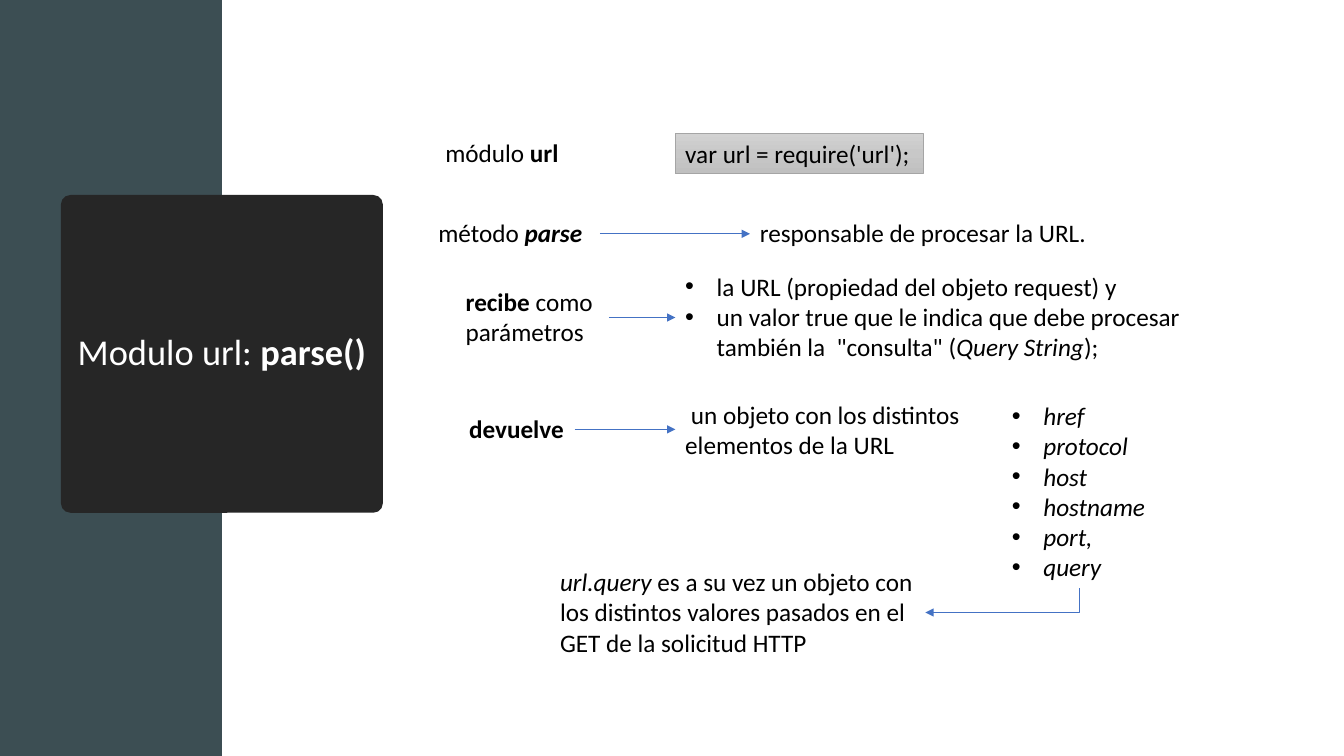
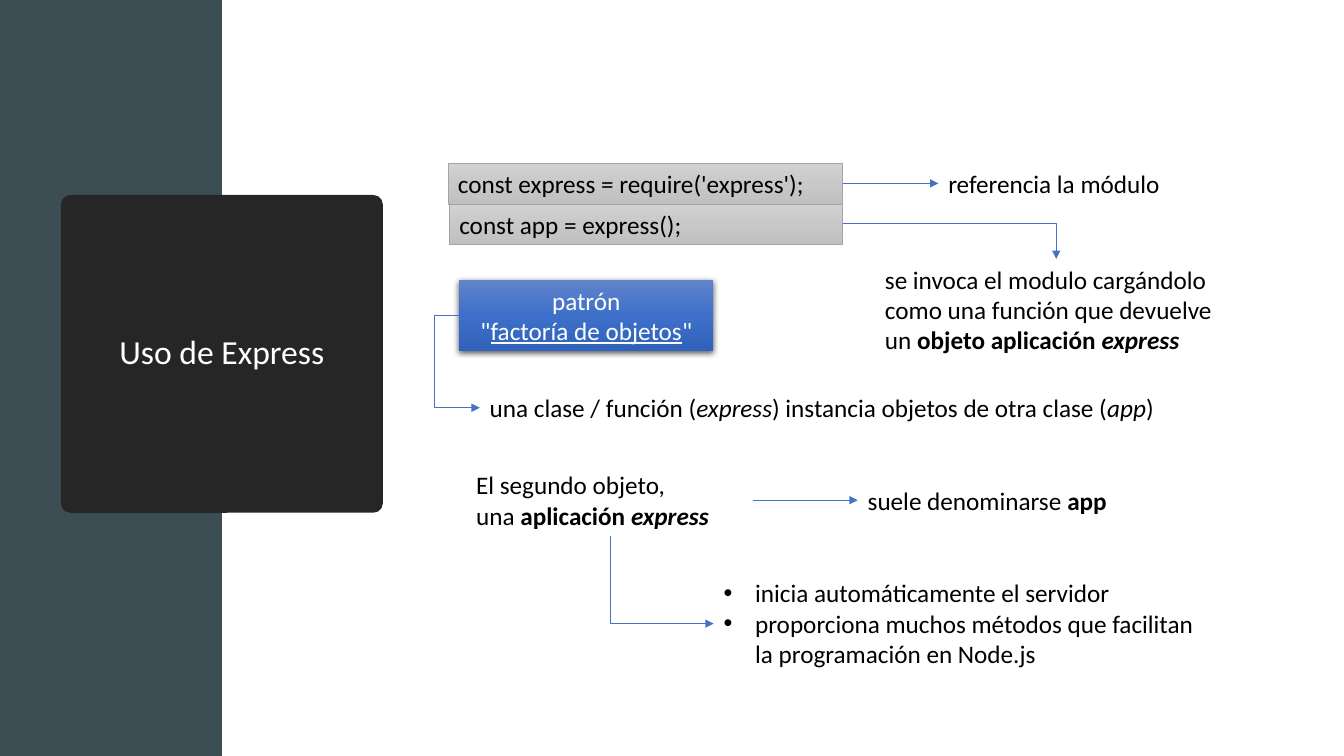
"""Builds two slides on the url module and on Express."""
from pptx import Presentation
from pptx.dml.color import RGBColor
from pptx.enum.dml import MSO_LINE
from pptx.enum.shapes import MSO_CONNECTOR, MSO_SHAPE
from pptx.enum.text import MSO_ANCHOR, PP_ALIGN
from pptx.oxml import parse_xml
from pptx.oxml.ns import nsdecls, qn
from pptx.util import Pt
from lxml import etree

RECT, ROUND = MSO_SHAPE.RECTANGLE, MSO_SHAPE.ROUNDED_RECTANGLE
LINE, ELBOW = MSO_CONNECTOR.STRAIGHT, MSO_CONNECTOR.ELBOW
SOLID = MSO_LINE.SOLID
LEFT, MID = PP_ALIGN.LEFT, PP_ALIGN.CENTER
TOP, CENTER = MSO_ANCHOR.TOP, MSO_ANCHOR.MIDDLE
FONT = "Calibri"
COLORS = {"band": "3C4E53", "card": "262626", "text": "000000",
          "white": "FFFFFF", "arrow": "4472C4", "edge": "A5A5A5"}
GRAY = ["D2D2D2", "C8C8C8", "C0C0C0"]
BLUE = ["6183CB", "3E70CA", "3062BB"]


def write(slide, box, paras, size=18, color="text", align=LEFT, anchor=TOP,
          space=1.0, bullet=False, shape=None, fill=None, grad=None,
          edge=None, shade=False):
    """Adds text; each run is a string or a (string, "biu" style) pair."""
    spots = [Pt(v) for v in box]
    if shape is None:
        item = slide.shapes.add_textbox(*spots)
    else:
        item = slide.shapes.add_shape(shape, *spots)
        item.shadow.inherit = False
        props = item._element.spPr
        if shape == ROUND:
            item.adjustments[0] = 0.03
        if fill:
            item.fill.solid()
            item.fill.fore_color.rgb = RGBColor.from_string(COLORS[fill])
        if grad:
            stops = "".join(
                f'<a:gs pos="{i * 50000}"><a:srgbClr val="{tone}"/></a:gs>'
                for i, tone in enumerate(grad))
            props.find(qn("a:prstGeom")).addnext(parse_xml(
                f'<a:gradFill {nsdecls("a")}><a:gsLst>{stops}</a:gsLst>'
                '<a:lin ang="5400000" scaled="0"/></a:gradFill>'))
        if edge:
            item.line.color.rgb = RGBColor.from_string(COLORS[edge])
            item.line.width = Pt(0.5)
        else:
            item.line.fill.background()
        if shade:
            props.find(qn("a:effectLst")).append(parse_xml(
                f'<a:outerShdw {nsdecls("a")} blurRad="{Pt(4.5)}" '
                f'dist="{Pt(1.5)}" dir="5400000" algn="ctr" rotWithShape="0">'
                '<a:srgbClr val="000000"><a:alpha val="63000"/></a:srgbClr>'
                '</a:outerShdw>'))
    frame = item.text_frame
    frame.word_wrap = True
    frame.vertical_anchor = anchor
    for i, runs in enumerate(paras):
        para = frame.add_paragraph() if i else frame.paragraphs[0]
        para.alignment = align
        para.line_spacing = space
        if bullet:
            props = para._p.get_or_add_pPr()
            props.set("marL", str(Pt(22.5)))
            props.set("indent", str(-Pt(22.5)))
            etree.SubElement(props, qn("a:buFont")).set("typeface", "Arial")
            etree.SubElement(props, qn("a:buChar")).set("char", "•")
        for part in runs:
            words, style = (part, "") if isinstance(part, str) else part
            run = para.add_run()
            run.text = words
            font = run.font
            font.name, font.size = FONT, Pt(size)
            font.color.rgb = RGBColor.from_string(COLORS[color])
            font.bold, font.italic = "b" in style, "i" in style
            font.underline = "u" in style


def link(slide, start, end, kind=LINE, tip="tailEnd", bend=None):
    """Adds an arrow; an elbow with no bend turns once, across first."""
    item = slide.shapes.add_connector(kind, *[Pt(v) for v in start + end])
    item.line.color.rgb = RGBColor.from_string(COLORS["arrow"])
    item.line.width = Pt(0.5)
    item.line.dash_style = SOLID
    props = item._element.spPr
    geom = props.find(qn("a:prstGeom"))
    if kind == ELBOW and bend is None:
        geom.set("prst", "bentConnector2")
    elif bend is not None:
        guide = etree.SubElement(geom.find(qn("a:avLst")), qn("a:gd"))
        guide.set("name", "adj1")
        guide.set("fmla", f"val {round(bend * 100000)}")
    etree.SubElement(props.find(qn("a:ln")), qn("a:" + tip)).set("type", "triangle")
    etree.SubElement(props, qn("a:effectLst"))


deck = Presentation()
deck.slide_width, deck.slide_height = Pt(960), Pt(540)
titles = [(["Modulo url: ", ("parse()", "b")], 26), (["Uso de Express"], 24)]
pages = []
for title, size in titles:
    page = deck.slides.add_slide(deck.slide_layouts[6])
    write(page, (0, 0, 158.5, 540), [], shape=RECT, fill="band")
    write(page, (43.5, 139.3, 230, 227), [title], size=size, color="white",
          align=MID, anchor=CENTER, space=0.9, shape=ROUND, fill="card")
    pages.append(page)
first, second = pages

notes = [
    ((311, 94.3, 101, 29), [["módulo ", ("url", "b")]]),
    ((482.4, 281.5, 233, 51),
     [[" un objeto con los distintos elementos de la URL"]]),
    ((535.7, 152, 251, 29), [["responsable de procesar la URL."]]),
    ((306, 152, 123, 29), [["método ", ("parse", "bi")]]),
    ((325.5, 201, 109, 51), [[("recibe", "b"), " como parámetros"]]),
    ((328, 292, 86, 29), [[("devuelve", "b")]]),
    ((393, 401, 269, 73),
     [[("url.query", "i"), " es a su vez un objeto con los distintos valores "
       "pasados en el GET de la solicitud HTTP"]]),
]
for box, paras in notes:
    write(first, box, paras)
write(first, (482.4, 190, 391, 73),
      [["la URL (propiedad del objeto request) y"],
       ["un valor true que le indica que debe procesar también la  "
        "\"consulta\" (", ("Query String", "i"), ");"]], bullet=True)
fields = ["href", "protocol", "host", "hostname", "port,", "query"]
write(first, (715.7, 282.5, 111, 138), [[(name, "i")] for name in fields],
      bullet=True)
write(first, (482.4, 95, 177, 29), [["var url = require('url');"]],
      shape=RECT, grad=GRAY, edge="edge")
for left, right, y in [(428.5, 535.7, 167), (435, 482.4, 226.8),
                       (410.5, 482.4, 306.7)]:
    link(first, (left, y), (right, y))
link(first, (661, 437.5), (770.7, 420.3), ELBOW, tip="headEnd")

notes = [
    ((625, 185, 259, 73),
     [["se invoca el modulo cargándolo como una función que devuelve un ",
       ("objeto aplicación ", "b"), ("express", "bi")]]),
    ((670.3, 116.7, 169, 29), [["referencia la módulo"]]),
    ((333, 332, 205, 51),
     [["El segundo objeto,"],
      ["una ", ("aplicación ", "b"), ("express", "bi")]]),
    ((612.7, 343, 189, 29), [["suele denominarse ", ("app", "b")]]),
    ((342.7, 276.5, 497, 29),
     [["una clase / función (", ("express", "i"),
       ") instancia objetos de otra clase (", ("app", "i"), ")"]]),
]
for box, paras in notes:
    write(second, box, paras)
write(second, (509.8, 409, 351, 73),
      [["inicia automáticamente el servidor"],
       ["proporciona muchos métodos que facilitan la programación en Node.js"]],
      bullet=True)
codes = ["const express = require('express');", "const app = express();"]
for i, code in enumerate(codes):
    write(second, (320 + i, 116.7 + i * 29, 282 - i, 29), [[code]],
          shape=RECT, grad=GRAY, edge="edge")
write(second, (328, 199.7, 181.5, 51),
      [["patrón"], ["\"", ("factoría de objetos", "u"), "\""]],
      color="white", align=MID, anchor=CENTER, shape=RECT, grad=BLUE,
      shade=True)
for left, right, y in [(602, 670.3, 131), (538, 612.7, 357.3)]:
    link(second, (left, y), (right, y))
link(second, (602, 159.7), (754.5, 185), ELBOW)
link(second, (509.8, 445.5), (435.8, 383), ELBOW, tip="headEnd")
link(second, (328, 225.3), (342.7, 291.3), ELBOW, bend=-1.2)

deck.save("out.pptx")
